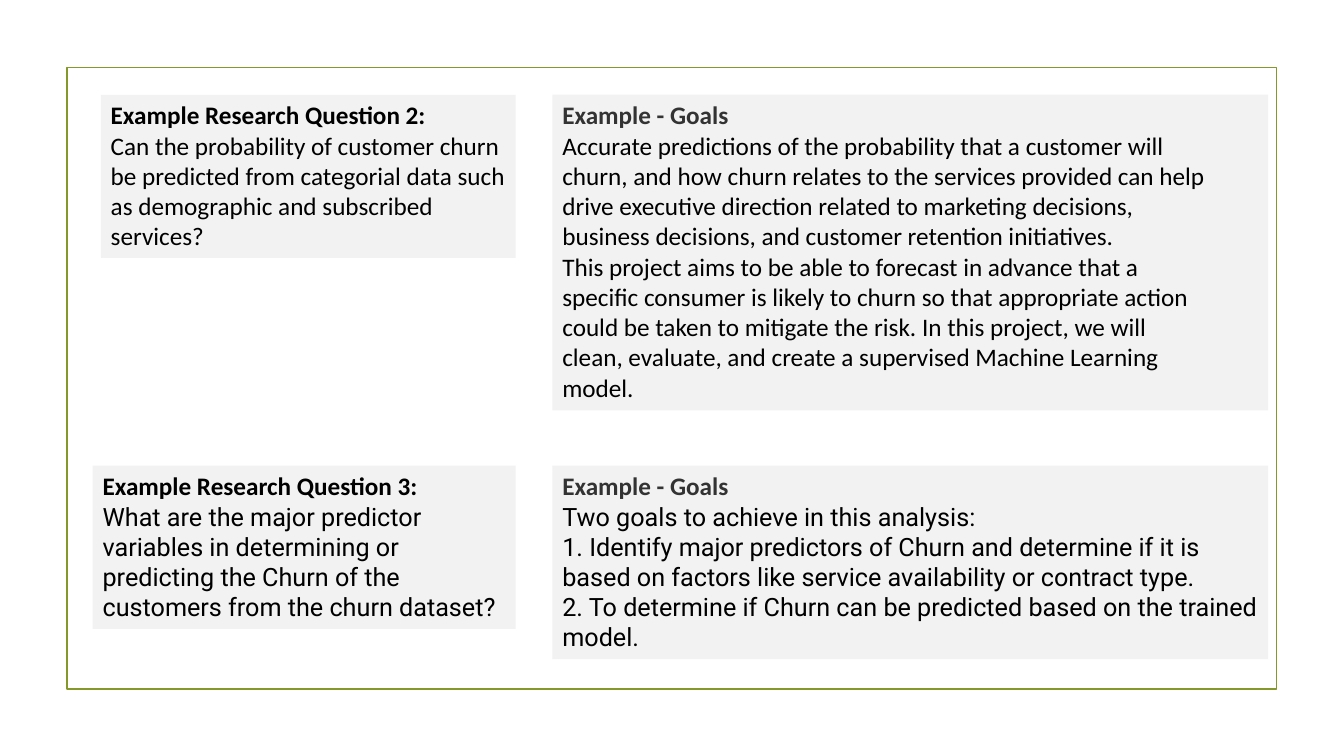
"""Build a slide pairing two research questions with their goals."""
from pptx import Presentation
from pptx.dml.color import RGBColor
from pptx.enum.shapes import MSO_SHAPE as Shape
from pptx.enum.text import MSO_ANCHOR as Anchor, PP_ALIGN as Align
from pptx.util import Pt

COLOURS = {"frame": "83992A", "panel": "F2F2F2", "black": "000000", "grey": "333333"}
INSETS = {"margin_left": 7.2, "margin_top": 3.6, "margin_bottom": 3.6}
LEFT_EDGE, RIGHT_EDGE = 368.3, 905.8
GOALS_LEFT = 394.6
TOP_ROW, BOTTOM_ROW = 67.7, 332.6

PANELS = [
    {"at": (72, TOP_ROW, LEFT_EDGE - 72, 116.6), "right": 7.2,
     "title": "Example Research Question 2:", "colour": "black", "font": "Calibri",
     "body": ["Can the probability of customer churn be predicted from categorial data "
              "such as demographic and subscribed services?"]},
    {"at": (GOALS_LEFT, TOP_ROW, RIGHT_EDGE - GOALS_LEFT, 225.4), "right": 44,
     "title": "Example - Goals", "colour": "grey", "font": "Calibri",
     "body": ["Accurate predictions of the probability that a customer will churn, and how "
              "churn relates to the services provided can help drive executive direction "
              "related to marketing decisions, business decisions, and customer retention "
              "initiatives.",
              "This project aims to be able to forecast in advance that a specific consumer "
              "is likely to churn so that appropriate action could be taken to mitigate the "
              "risk. In this project, we will clean, evaluate, and create a supervised "
              "Machine Learning model."]},
    {"at": (66.2, BOTTOM_ROW, LEFT_EDGE - 66.2, 116.6), "right": 7.2,
     "title": "Example Research Question 3:", "colour": "black", "font": "Roboto",
     "body": ["What are the major predictor variables in determining or predicting the "
              "Churn of the customers from the churn dataset?"]},
    {"at": (GOALS_LEFT, BOTTOM_ROW, RIGHT_EDGE - GOALS_LEFT, 138.2), "right": 7.2,
     "title": "Example - Goals", "colour": "grey", "font": "Roboto",
     "body": ["Two goals to achieve in this analysis:",
              "1. Identify major predictors of Churn and determine if it is based on factors "
              "like service availability or contract type.",
              "2. To determine if Churn can be predicted based on the trained model."]},
]


def colour_of(name):
    return RGBColor.from_string(COLOURS[name])


def add_box(page, at):
    box = page.shapes.add_shape(Shape.RECTANGLE, *[Pt(length) for length in at])
    box.shadow.inherit = False
    return box


deck = Presentation()
deck.slide_width, deck.slide_height = Pt(960), Pt(540)
page = deck.slides.add_slide(deck.slide_layouts[6])

frame = add_box(page, (47.8, 48.2, 864, 444.2))
frame.fill.background()
frame.line.color.rgb = colour_of("frame")
frame.line.width = Pt(1.25)

for panel in PANELS:
    box = add_box(page, panel["at"])
    box.fill.solid()
    box.fill.fore_color.rgb = colour_of("panel")
    box.line.fill.background()
    text = box.text_frame
    text.word_wrap = True
    text.vertical_anchor = Anchor.TOP
    for name, length in INSETS.items():
        setattr(text, name, Pt(length))
    text.margin_right = Pt(panel["right"])
    for index, words in enumerate([panel["title"], *panel["body"]]):
        is_title = index == 0
        para = text.paragraphs[0] if is_title else text.add_paragraph()
        para.alignment = Align.LEFT
        span = para.add_run()
        span.text = words
        span.font.color.rgb = colour_of(panel["colour"] if is_title else "black")
        font_values = {"name": "Calibri" if is_title else panel["font"],
                       "size": Pt(18), "bold": is_title}
        for name, value in font_values.items():
            setattr(span.font, name, value)

deck.save("out.pptx")
